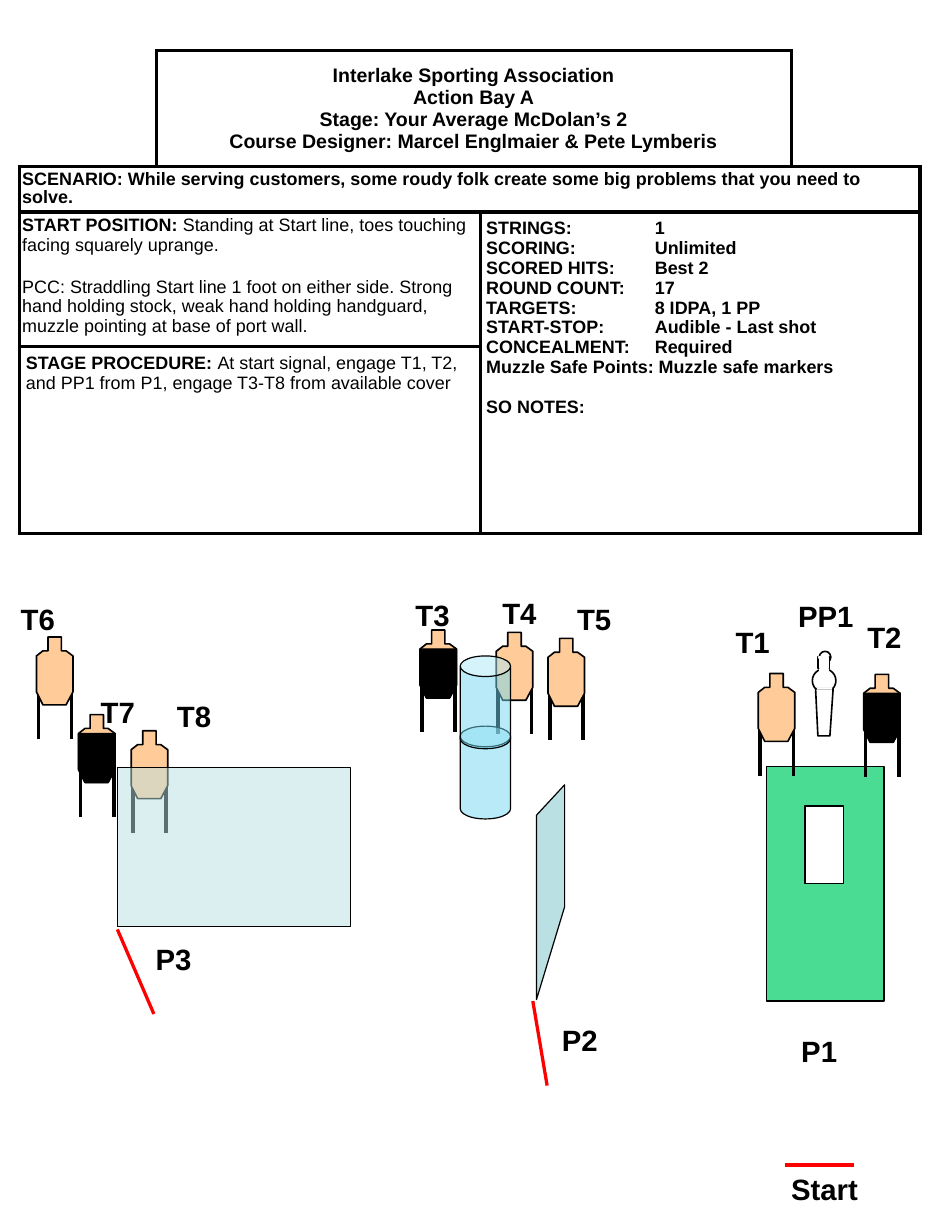
from lxml import etree
from pptx import Presentation
from pptx.dml.color import RGBColor
from pptx.enum.shapes import MSO_CONNECTOR, MSO_SHAPE
from pptx.enum.text import MSO_ANCHOR, PP_ALIGN
from pptx.oxml.ns import qn
from pptx.util import Cm, Pt

STRAIGHT = MSO_CONNECTOR.STRAIGHT
RECTANGLE, OVAL, CAN = MSO_SHAPE.RECTANGLE, MSO_SHAPE.OVAL, MSO_SHAPE.CAN
MIDDLE, CENTER = MSO_ANCHOR.MIDDLE, PP_ALIGN.CENTER
FONT = "Arial"
COLORS = {
    "black": "000000", "white": "FFFFFF", "red": "FF0000", "cardboard": "FFCC99",
    "wall": "4ADC93", "glass": "BBE0E3", "barrel": "73D9F1",
}
TARGET = [(0.25, 0), (0.54, 0), (0.54, 0.3), (0.64, 0.3), (0.79, 0.41), (0.79, 1.19),
          (0.64, 1.47), (0.14, 1.47), (0, 1.19), (0, 0.41), (0.14, 0.3), (0.25, 0.3)]
HARD_COVER = [(0, 0.41), (0.79, 0.41), (0.79, 1.19), (0.64, 1.47), (0.14, 1.47), (0, 1.19)]
LABELS = [
    ("P1", 17.09, 22.25), ("P2", 11.91, 22), ("P3", 3.12, 20.24),
    ("T1", 15.67, 13.39), ("T2", 18.52, 13.28), ("T3", 8.74, 12.8),
    ("T4", 10.62, 12.75), ("T5", 12.24, 12.9), ("T6", 0.2, 12.9),
    ("T7", 1.93, 14.91), ("T8", 3.58, 14.99),
    ("PP1", 17.02, 12.83, 1.85), ("Start", 16.87, 25.22, 2.39),
]
OPEN_TARGETS = [(11.86, 13.82), (16.41, 14.58), (10.74, 13.69), (2.84, 15.82), (0.79, 13.79)]
COVERED_TARGETS = [(18.69, 14.6), (9.09, 13.64), (1.7, 15.47)]
FAULT_LINES = [(11.84, 23.5, 11.53, 21.67), (3.33, 21.95, 2.54, 20.12),
               (18.47, 25.22, 16.99, 25.22)]
FACTS = [
    ("STRINGS:", "1"), ("SCORING:", "Unlimited"), ("SCORED HITS:", "Best 2"),
    ("ROUND COUNT:", "17"), ("TARGETS:", "8 IDPA, 1 PP"),
    ("START-STOP:", "Audible - Last shot"), ("CONCEALMENT:", "Required"),
]


def color(name):
    return RGBColor.from_string(COLORS[name])


def style_font(paragraph, size, bold=None):
    font = paragraph.font
    font.name, font.size, font.bold = FONT, Pt(size), bold
    font.color.rgb = color("black")


def paint(shape, fill, line="black", width=0.75, alpha=None):
    shape.shadow.inherit = False
    shape.fill.solid()
    shape.fill.fore_color.rgb = color(fill)
    if alpha:
        tint = shape._element.spPr.find(qn("a:solidFill"))[0]
        etree.SubElement(tint, qn("a:alpha"), val=str(alpha * 1000))
    if line:
        shape.line.color.rgb = color(line)
        shape.line.width = Pt(width)
    else:
        shape.line.fill.background()


def add_preset(shapes, kind, box, *look, **options):
    shape = shapes.add_shape(kind, *map(Cm, box))
    paint(shape, *look, **options)
    return shape


def add_outline(shapes, contours, *look):
    (x, y), *rest = contours[0]
    builder = shapes.build_freeform(Cm(x), Cm(y))
    builder.add_line_segments([(Cm(a), Cm(b)) for a, b in rest])
    for (x, y), *rest in contours[1:]:
        builder.move_to(Cm(x), Cm(y))
        builder.add_line_segments([(Cm(a), Cm(b)) for a, b in rest])
    paint(builder.convert_to_shape(), *look)


def add_line(shapes, ends, name, width):
    line = shapes.add_connector(STRAIGHT, *map(Cm, ends))
    line.line.color.rgb = color(name)
    line.line.width = Pt(width)
    etree.SubElement(line._element.spPr, qn("a:effectLst"))


def add_label(shapes, text, left, top, width=1.47):
    frame = shapes.add_textbox(Cm(left), Cm(top), Cm(width), Cm(1.02)).text_frame
    frame.word_wrap = True
    frame.text = text
    style_font(frame.paragraphs[0], 18, True)


def add_target(shapes, left, top, covered=False):
    parts = shapes.add_group_shape().shapes
    for leg in (left + 0.04, left + 0.76):
        add_line(parts, (leg, top + 1.09, leg, top + 2.21), "black", 2.25)
    add_outline(parts, [[(left + x, top + y) for x, y in TARGET]], "cardboard", "black", 1)
    if covered:
        add_outline(parts, [[(left + x, top + y) for x, y in HARD_COVER]], "black", "black", 0)


def add_popper(shapes):
    parts = shapes.add_group_shape().shapes
    add_preset(parts, OVAL, (17.73, 14.1, 0.25, 0.25), "white", "black", 1)
    add_preset(parts, OVAL, (17.58, 14.48, 0.51, 0.51), "white", "black", 1)
    stem = [(17.65, 14.91), (18.03, 14.91), (17.96, 15.93), (17.7, 15.93)]
    add_outline(parts, [stem], "white", "black", 1)
    add_preset(parts, RECTANGLE, (17.7, 14.22, 0.25, 0.25), "white", "black", 1)
    add_preset(parts, RECTANGLE, (17.68, 14.88, 0.33, 0.05), "white", None)
    add_preset(parts, RECTANGLE, (17.75, 14.48, 0.18, 0.05), "white", "white", 1)
    add_preset(parts, RECTANGLE, (17.73, 14.22, 0.2, 0.03), "white", "white", 1)


def style_cell(cell, sides):
    properties = cell._tc.get_or_add_tcPr()
    for side in "LRTB":
        border = etree.SubElement(properties, qn(f"a:ln{side}"), w=str(Pt(2.25)))
        if side in sides:
            solid = etree.SubElement(border, qn("a:solidFill"))
            etree.SubElement(solid, qn("a:srgbClr"), val=COLORS["black"])
        else:
            etree.SubElement(border, qn("a:noFill"))
    cell.fill.solid()
    cell.fill.fore_color.rgb = color("white")


def write_cell(cell, paragraphs, size, inset_x=0.13, inset_y=0.13):
    cell.margin_left = cell.margin_right = Cm(inset_x)
    cell.margin_top = cell.margin_bottom = Cm(inset_y)
    frame = cell.text_frame
    for index, (heading, body) in enumerate(paragraphs):
        paragraph = frame.add_paragraph() if index else frame.paragraphs[0]
        if heading and body:
            for text, bold in ((heading, True), (body, False)):
                run = paragraph.add_run()
                run.text, run.font.bold = text, bold
            style_font(paragraph, size)
        else:
            paragraph.text = heading or body
            if "\t" in paragraph.text:
                tabs = etree.SubElement(paragraph._p.get_or_add_pPr(), qn("a:tabLst"))
                etree.SubElement(tabs, qn("a:tab"), pos=str(Cm(3.65)), algn="l")
            style_font(paragraph, size, bool(heading))
    return frame.paragraphs


def add_briefing(shapes):
    table = shapes.add_table(4, 4, Cm(0.43), Cm(1.09), Cm(19.48), Cm(10.46)).table
    table.first_row = table.horz_banding = False
    for column, width in zip(table.columns, (2.95, 7.01, 6.73, 2.79)):
        column.width = Cm(width)
    for row, height in zip(table.rows, (2.51, 0.99, 2.92, 4.04)):
        row.height = Cm(height)
    for row in range(4):
        for column in range(4):
            corner = {(0, 0): "RB", (0, 3): "LB"}
            style_cell(table.cell(row, column), corner.get((row, column), "LRTB"))
    for first, last in (((0, 1), (0, 2)), ((1, 0), (1, 3)), ((2, 0), (2, 1)),
                        ((2, 2), (3, 3)), ((3, 0), (3, 1))):
        table.cell(*first).merge(table.cell(*last))

    title = write_cell(table.cell(0, 1), [(
        "Interlake Sporting Association\nAction Bay A\nStage: Your Average McDolan’s 2\n"
        "Course Designer: Marcel Englmaier & Pete Lymberis", "")], 12)
    title[0].alignment = CENTER
    table.cell(0, 1).vertical_anchor = MIDDLE
    scenario = write_cell(table.cell(1, 0), [(
        "SCENARIO: While serving customers, some roudy folk create some big problems "
        "that you need to solve.", "")], 11, 0.05, 0.1)
    scenario[0].line_spacing = 0.9
    start = write_cell(table.cell(2, 0), [
        ("START POSITION: ", "Standing at Start line, toes touching facing squarely uprange."),
        ("", "PCC: Straddling Start line 1 foot on either side. Strong hand holding stock, "
             "weak hand holding handguard, muzzle pointing at base of port wall."),
    ], 11, 0.05, 0.08)
    start[1].space_before = Pt(13)
    facts = [(f"{name}\t{value}", "") for name, value in FACTS]
    facts += [("Muzzle Safe Points: Muzzle safe markers", ""), ("SO NOTES:", "")]
    write_cell(table.cell(2, 2), facts, 11)[-1].space_before = Pt(12.3)
    write_cell(table.cell(3, 0), [(
        "STAGE PROCEDURE: ",
        "At start signal, engage T1, T2, and PP1 from P1, engage T3-T8 from available cover",
    )], 11)


def main():
    deck = Presentation()
    deck.slide_width, deck.slide_height = Cm(20.32), Cm(26.67)
    shapes = deck.slides.add_slide(deck.slide_layouts[6]).shapes
    add_briefing(shapes)
    for label in LABELS:
        add_label(shapes, *label)
    for ends in FAULT_LINES:
        add_line(shapes, ends, "red", 2)

    wall = [(16.59, 16.59), (19.13, 16.59), (19.13, 21.67), (16.59, 21.67), (16.59, 16.59)]
    port = [(17.42, 17.45), (18.26, 17.45), (18.26, 19.13), (17.42, 19.13), (17.42, 17.45)]
    add_outline(shapes, [wall, port], "wall", "black", 0)
    for place in OPEN_TARGETS:
        add_target(shapes, *place)
    side_wall = [(12.22, 19.63), (11.61, 21.64), (11.61, 17.65), (12.22, 16.99), (12.22, 19.63)]
    add_outline(shapes, [side_wall], "glass")
    add_popper(shapes)
    add_preset(shapes, RECTANGLE, (2.54, 16.61, 5.05, 3.45), "glass", alpha=50)
    barrels = shapes.add_group_shape().shapes
    for top in (15.72, 14.2):
        barrel = add_preset(barrels, CAN, (9.96, top, 1.09, 2.01), "barrel", alpha=50)
        barrel.adjustments[0] = 0.41
    for place in COVERED_TARGETS:
        add_target(shapes, *place, covered=True)
    deck.save("out.pptx")


if __name__ == "__main__":
    main()
